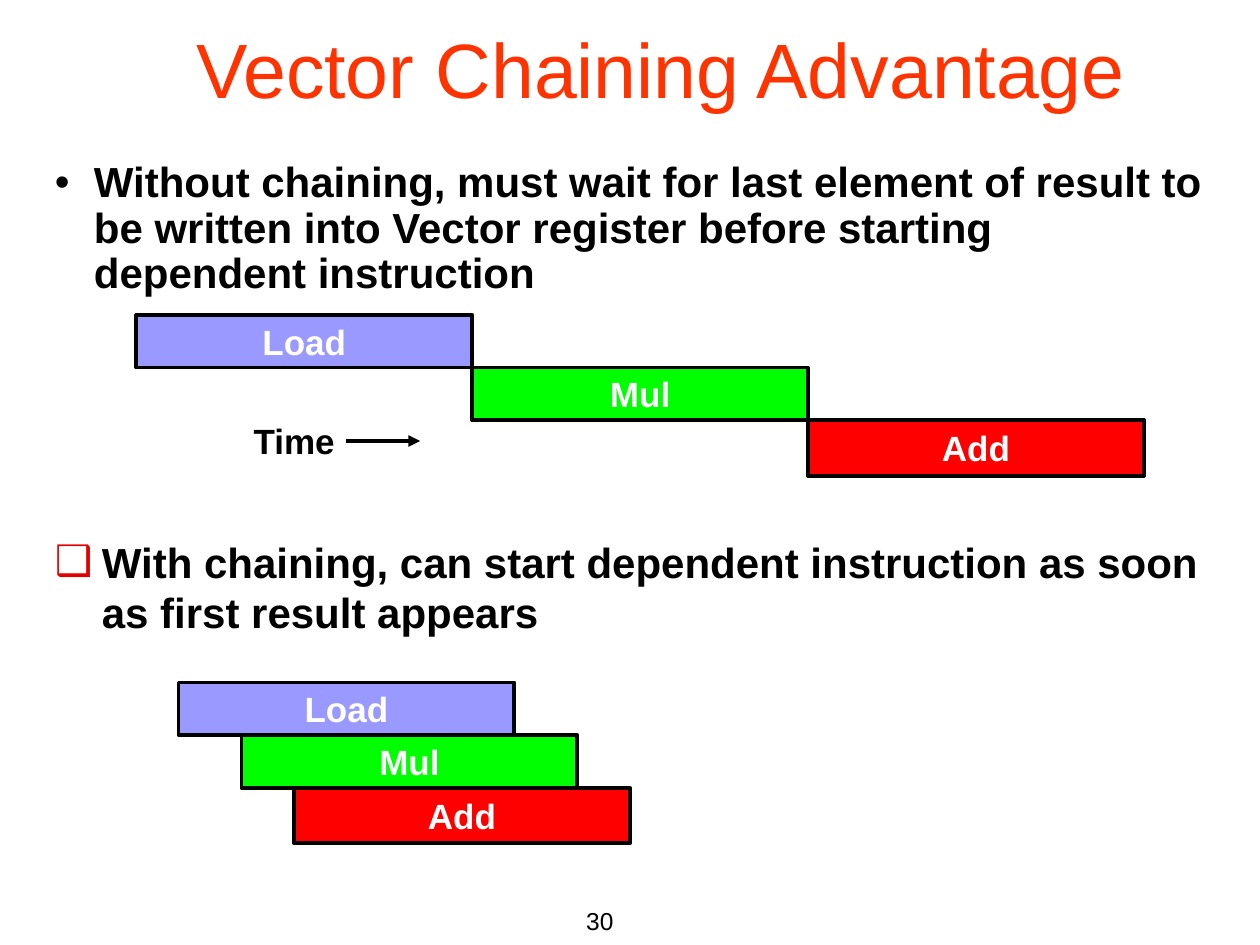
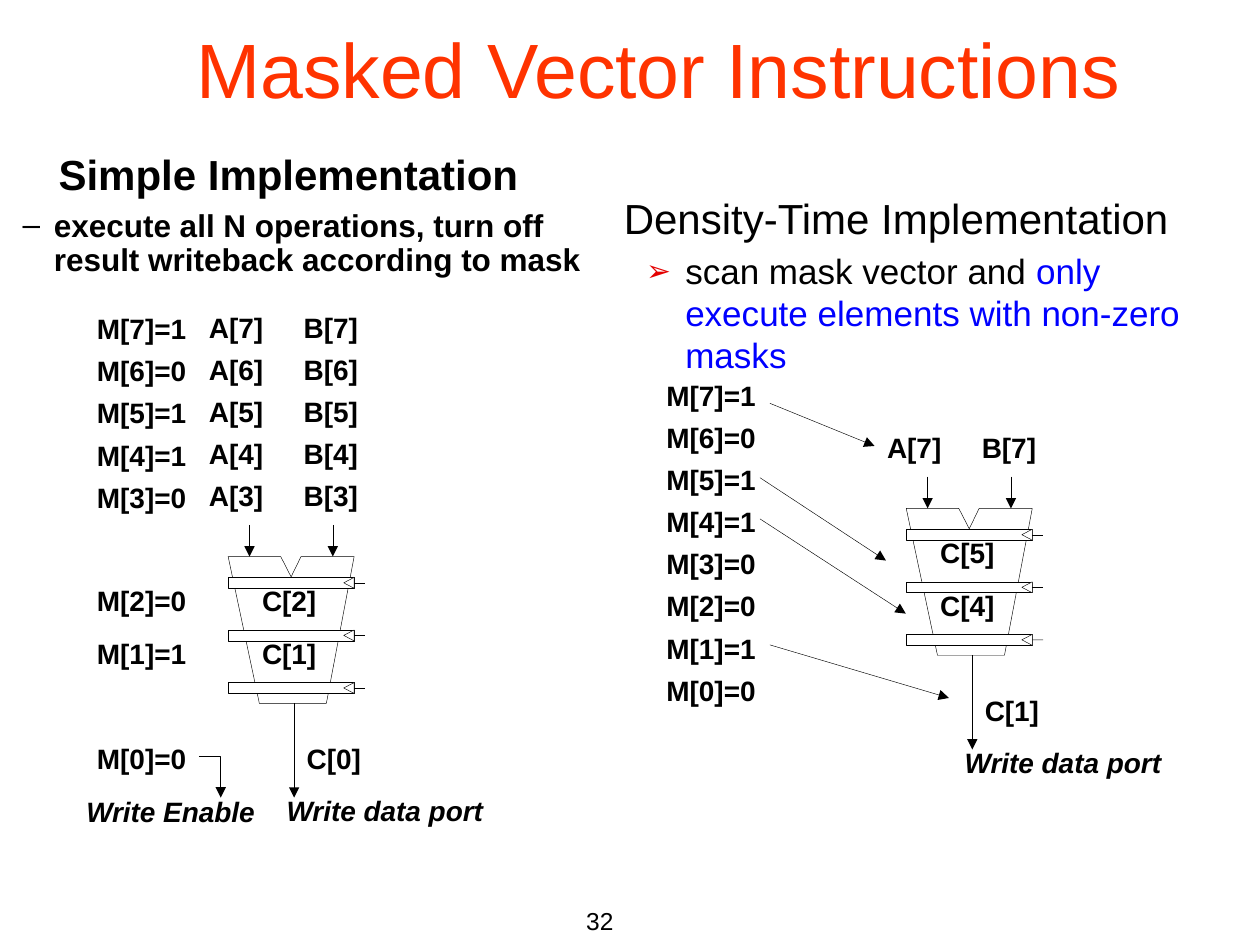
from dataclasses import dataclass
from typing import NamedTuple, Optional, Sequence

from lxml.etree import SubElement
from pptx import Presentation
from pptx.dml.color import RGBColor
from pptx.enum.shapes import MSO_CONNECTOR, MSO_SHAPE
from pptx.enum.text import MSO_ANCHOR, MSO_AUTO_SIZE, PP_ALIGN
from pptx.oxml.ns import qn
from pptx.util import Cm, Pt


@dataclass(frozen=True)
class Theme:
    font: str = "Arial"
    title_color: str = "FF3300"
    ink: str = "000000"
    paper: str = "FFFFFF"
    emphasis: str = "0000FF"
    bullet: str = "E40000"
    load: str = "9999FF"
    multiply: str = "00FF00"
    add: str = "FF0000"
    title_size: float = 44
    heading_size: float = 24
    task_size: float = 20
    point_size: float = 18
    signal_size: float = 16
    page_size: float = 14
    bold_line: float = 2.25
    hairline: float = 0.25


THEME = Theme()


class Point(NamedTuple):
    x: float
    y: float

    def shift(self, dx: float, dy: float) -> "Point":
        return Point(self.x + dx, self.y + dy)


class Box(NamedTuple):
    left: float
    top: float
    width: float
    height: float

    def lengths(self) -> list:
        return [Cm(side) for side in self]


@dataclass(frozen=True)
class Style:
    size: float
    color: str = THEME.ink
    bold: bool = False
    italic: bool = False


class Span(NamedTuple):
    words: str
    style: Style


@dataclass(frozen=True)
class Item:
    spans: Sequence[Span]
    margin: float
    hanging: float
    bullet: Optional[str] = None
    bullet_color: Optional[str] = None
    bullet_percent: int = 100
    level: int = 0
    align: PP_ALIGN = PP_ALIGN.LEFT
    spacing: float = 1.0
    before: float = 0


class Task(NamedTuple):
    name: str
    color: str
    height: float


HEADING = Style(THEME.heading_size, bold=True)
SIGNAL = Style(THEME.signal_size, bold=True)
PORT = Style(THEME.signal_size, bold=True, italic=True)
TIME = Style(THEME.task_size, bold=True)

TASKS = (Task("Load", THEME.load, 1.06), Task("Mul", THEME.multiply, 1.06),
         Task("Add", THEME.add, 1.12))
TASK_WIDTH, TASK_STEP = 6.77, 1.06

MASK = (0, 1, 0, 0, 1, 1, 0, 1)
ROW_STEP, ROW_HEIGHT = 0.85, 0.94
MASK_WIDTH, ELEMENT_WIDTH, PORT_WIDTH = 2.31, 1.6, 4.5
UNIT_OUTLINE = ((0, 0), (0.63, 2.96), (1.98, 2.96), (2.54, 0),
                (1.47, 0), (1.27, 0.41), (1.06, 0))
UNIT_WIDTH, UNIT_HEIGHT = 2.54, 2.96
STAGE_TOP, STAGE_STEP, REGISTER_HEIGHT = 0.42, 1.06, 0.22
OUTPUT_X, OUTPUT_END = 1.33, 4.86


def rgb(color: str) -> RGBColor:
    return RGBColor.from_string(color)


def add_span(paragraph, span: Span) -> None:
    run = paragraph.add_run()
    run.text = span.words
    font, style = run.font, span.style
    font.name, font.size = THEME.font, Pt(style.size)
    font.bold, font.italic = style.bold, style.italic
    font.color.rgb = rgb(style.color)


def place(shape, box: Box) -> None:
    shape.left, shape.top, shape.width, shape.height = box.lengths()


def frame_text(shape, wrap: bool = True, anchor=MSO_ANCHOR.MIDDLE):
    frame = shape.text_frame
    frame.word_wrap = wrap
    frame.auto_size = MSO_AUTO_SIZE.NONE
    frame.vertical_anchor = anchor
    return frame


def format_item(paragraph, item: Item) -> None:
    paragraph.level, paragraph.alignment = item.level, item.align
    paragraph.line_spacing = item.spacing
    paragraph.space_before, paragraph.space_after = Pt(item.before), Pt(0)
    props = paragraph._p.get_or_add_pPr()
    props.set("marL", str(Cm(item.margin)))
    props.set("indent", str(Cm(-item.hanging)))
    if item.bullet is None:
        SubElement(props, qn("a:buNone"))
    else:
        if item.bullet_color:
            color = SubElement(props, qn("a:buClr"))
            SubElement(color, qn("a:srgbClr"), val=item.bullet_color)
        SubElement(props, qn("a:buSzPct"), val=str(item.bullet_percent * 1000))
        SubElement(props, qn("a:buChar"), char=item.bullet)
    for span in item.spans:
        add_span(paragraph, span)


def fill_list(placeholder, box: Box, items: Sequence[Item]) -> None:
    place(placeholder, box)
    frame = frame_text(placeholder)
    for index, item in enumerate(items):
        paragraph = frame.add_paragraph() if index else frame.paragraphs[0]
        format_item(paragraph, item)


def add_label(slide, box: Box, words: str, style: Style = SIGNAL,
              align=PP_ALIGN.CENTER, anchor=MSO_ANCHOR.MIDDLE) -> None:
    label = slide.shapes.add_textbox(*box.lengths())
    paragraph = frame_text(label, False, anchor).paragraphs[0]
    paragraph.alignment = align
    add_span(paragraph, Span(words, style))


def stroke(shape, width: float, arrow: bool = False) -> None:
    shape.line.color.rgb = rgb(THEME.ink)
    shape.line.width = Pt(width)
    if arrow:
        SubElement(shape.element.spPr.find(qn("a:ln")), qn("a:tailEnd"), type="triangle")


def paint(shape, fill: Optional[str]) -> None:
    shape.shadow.inherit = False
    if fill:
        shape.fill.solid()
        shape.fill.fore_color.rgb = rgb(fill)
    else:
        shape.fill.background()


def add_rectangle(slide, box: Box, fill: str, width: float):
    rectangle = slide.shapes.add_shape(MSO_SHAPE.RECTANGLE, *box.lengths())
    paint(rectangle, fill)
    stroke(rectangle, width)
    return rectangle


def add_outline(slide, points: Sequence[Point], fill: Optional[str] = None,
                closed: bool = True, arrow: bool = False) -> None:
    corners = [(Cm(point.x), Cm(point.y)) for point in points]
    builder = slide.shapes.build_freeform(*corners[0])
    builder.add_line_segments(corners[1:], close=closed)
    outline = builder.convert_to_shape()
    paint(outline, fill)
    stroke(outline, THEME.hairline, arrow)


def add_line(slide, start: Point, end: Point, width: float = THEME.hairline,
             arrow: bool = True):
    line = slide.shapes.add_connector(
        MSO_CONNECTOR.STRAIGHT, Cm(start.x), Cm(start.y), Cm(end.x), Cm(end.y))
    stroke(line, width, arrow)
    SubElement(line.element.spPr, qn("a:effectLst"))
    return line


def start_slide(deck, title: str, page: str):
    slide = deck.slides.add_slide(deck.slide_layouts[3])
    heading = slide.shapes.title
    place(heading, Box(3.7, 0, 21, 2.72))
    paint(heading, THEME.paper)
    paragraph = frame_text(heading).paragraphs[0]
    paragraph.alignment = PP_ALIGN.LEFT
    add_span(paragraph, Span(title, Style(THEME.title_size, THEME.title_color)))
    add_label(slide, Box(7.34, 18.14, 5.28, 1.27), page, Style(THEME.page_size),
              PP_ALIGN.RIGHT, MSO_ANCHOR.TOP)
    return slide


def add_schedule(slide, top: float, starts: Sequence[float]) -> None:
    for row, (task, left) in enumerate(zip(TASKS, starts)):
        box = Box(left, top + row * TASK_STEP, TASK_WIDTH, task.height)
        bar = add_rectangle(slide, box, task.color, THEME.bold_line)
        paragraph = frame_text(bar).paragraphs[0]
        paragraph.alignment = PP_ALIGN.CENTER
        add_span(paragraph, Span(task.name, Style(THEME.task_size, THEME.paper, True)))


def add_element(slide, corner: Point, words: str, width: float = ELEMENT_WIDTH,
                style: Style = SIGNAL) -> None:
    add_label(slide, Box(*corner, width, ROW_HEIGHT), words, style)


def add_mask(slide, left: float, tops: Sequence[float]) -> None:
    for bit, top in zip(reversed(range(len(MASK))), tops):
        add_element(slide, Point(left, top), f"M[{bit}]={MASK[bit]}", MASK_WIDTH)


def add_pipeline(slide, origin: Point, waiting: Sequence[int],
                 stages: Sequence[int], result: int) -> None:
    add_outline(slide, [origin.shift(*corner) for corner in UNIT_OUTLINE])
    for stage in range(3):
        corner = origin.shift(0, STAGE_TOP + stage * STAGE_STEP)
        register = add_rectangle(slide, Box(*corner, UNIT_WIDTH, REGISTER_HEIGHT),
                                 THEME.paper, THEME.hairline)
        right = corner.shift(UNIT_WIDTH, 0)
        middle = right.shift(0, REGISTER_HEIGHT / 2)
        add_outline(slide, [right.shift(0, REGISTER_HEIGHT), middle.shift(-0.21, 0), right],
                    THEME.paper)
        clock = add_line(slide, middle, middle.shift(0.22, 0), arrow=False)
        clock.begin_connect(register, 3)
    for stage, index in enumerate(stages):
        add_element(slide, origin.shift(0.43, STAGE_TOP + stage * STAGE_STEP), f"C[{index}]")
    for vector, label_x, arrow_x in (("A", -0.64, 0.43), ("B", 1.27, 2.11)):
        add_line(slide, origin.shift(arrow_x, -0.64), origin.shift(arrow_x, 0))
        for row, index in enumerate(waiting):
            add_element(slide, origin.shift(label_x, -1.7 - row * ROW_STEP),
                        f"{vector}[{index}]")
    add_line(slide, origin.shift(OUTPUT_X, UNIT_HEIGHT), origin.shift(OUTPUT_X, OUTPUT_END))
    add_element(slide, origin.shift(OUTPUT_X, 3.59), f"C[{result}]")
    add_element(slide, origin.shift(0.91, 4.65), "Write data port", PORT_WIDTH, PORT)


def build_chaining(deck) -> None:
    slide = start_slide(deck, "Vector Chaining Advantage", "30")
    without = Span("Without chaining, must wait for last element of result to be written "
                   "into Vector register before starting dependent instruction", HEADING)
    chained = Span("With chaining, can start dependent instruction as soon as first "
                   "result appears", HEADING)
    fill_list(slide.placeholders[1], Box(0.85, 3.12, 23.7, 3.02),
              [Item([without], 0.79, 0.79, "•", spacing=0.9)])
    fill_list(slide.placeholders[2], Box(0.85, 10.67, 23.7, 2.31),
              [Item([chained], 0.95, 0.95, "❑", THEME.bullet)])
    add_schedule(slide, 6.35, [2.75 + step * TASK_WIDTH for step in range(len(TASKS))])
    add_schedule(slide, 13.76, (3.6, 4.87, 5.93))
    add_label(slide, Box(4.85, 8.33, 2.16, 1.09), "Time", TIME)
    add_line(slide, Point(6.98, 8.89), Point(8.47, 8.89), THEME.bold_line)


def build_masked(deck) -> None:
    slide = start_slide(deck, "Masked Vector Instructions", "32")
    fill_list(slide.placeholders[1], Box(-1.07, 2.97, 13.77, 2.77), [
        Item([Span("Simple Implementation", HEADING)], 0.79, 0.79,
             align=PP_ALIGN.CENTER, spacing=0.9),
        Item([Span("execute all N operations, turn off result writeback according to mask",
                   Style(THEME.point_size, bold=True))],
             1.9, 0.63, "–", level=1, spacing=0.9, before=6)])
    fill_list(slide.placeholders[2], Box(11.5, 3.73, 13.13, 3.99), [
        Item([Span("Density-Time Implementation", Style(THEME.heading_size))], 0.95, 0.95,
             align=PP_ALIGN.CENTER),
        Item([Span("scan mask vector and ", Style(THEME.task_size)),
              Span("only execute elements with non-zero masks",
                   Style(THEME.task_size, THEME.emphasis))],
             2.06, 0.79, "➢", THEME.bullet, 85, level=1, before=4)])

    add_mask(slide, 1.7, [6.15 + row * ROW_STEP for row in range(5)] + [11.64, 12.7, 14.81])
    add_pipeline(slide, Point(4.6, 11.22), range(3, 8), (2, 1), 0)
    add_outline(slide, [Point(4.01, 15.24), Point(4.45, 15.24), Point(4.45, 16.08)],
                closed=False, arrow=True)
    add_element(slide, Point(1.47, 15.88), "Write Enable", 3.94, PORT)

    add_mask(slide, 13.18, [7.49 + row * ROW_STEP for row in range(len(MASK))])
    add_pipeline(slide, Point(18.27, 10.25), (7,), (5, 4), 1)
    for start, end in (((15.52, 8.13), (17.63, 8.99)), ((15.32, 9.63), (17.86, 11.3)),
                       ((15.32, 10.46), (18.26, 12.37)), ((15.52, 13), (19.13, 14.07))):
        add_line(slide, Point(*start), Point(*end))


def main() -> None:
    deck = Presentation()
    deck.slide_width, deck.slide_height = Cm(25.4), Cm(19.05)
    build_chaining(deck)
    build_masked(deck)
    deck.save("out.pptx")


if __name__ == "__main__":
    main()
